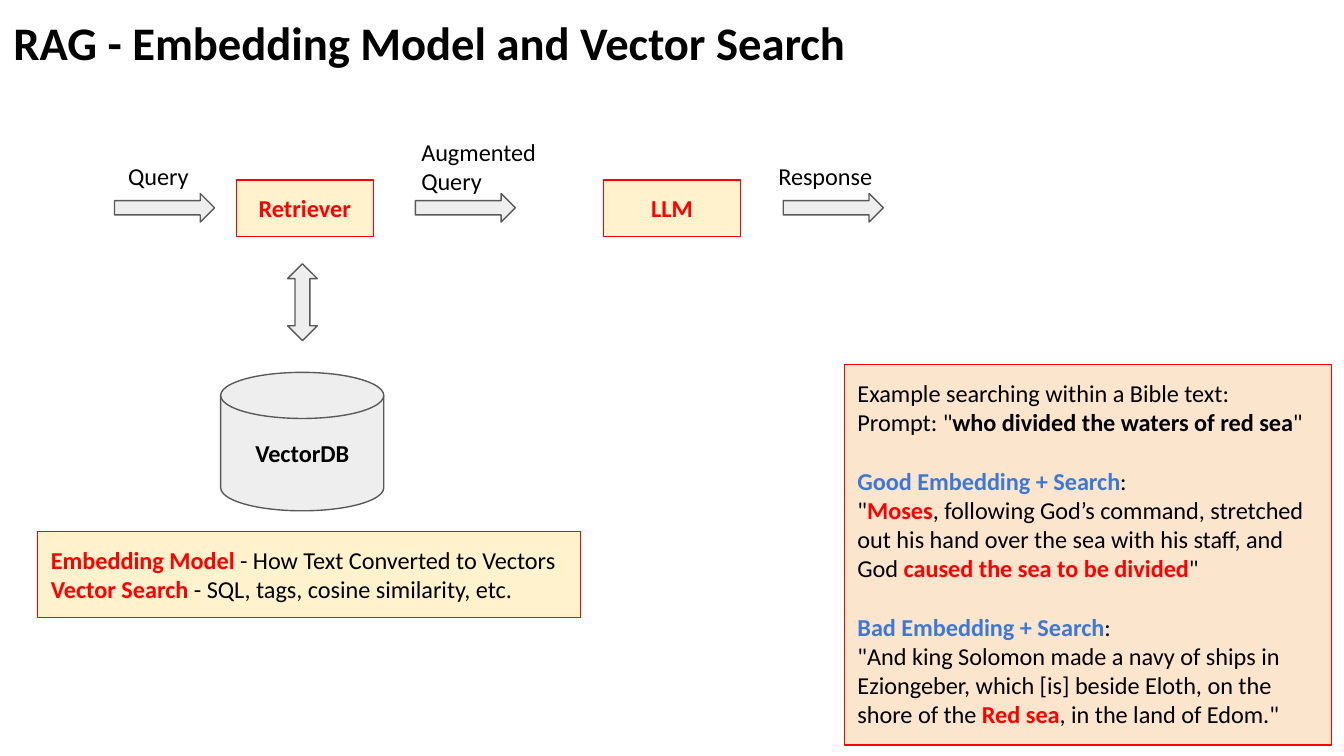
from dataclasses import dataclass

from pptx import Presentation
from pptx.dml.color import RGBColor
from pptx.enum.shapes import MSO_SHAPE
from pptx.enum.text import MSO_ANCHOR, MSO_AUTO_SIZE, PP_ALIGN
from pptx.shapes.autoshape import Shape
from pptx.slide import Slide
from pptx.util import Pt


@dataclass(frozen=True)
class Theme:
    font: str = "Calibri"
    title_size: float = 25
    body_size: float = 13
    inset: float = 7.2
    line_width: float = 0.75
    section_gap: float = 15.85
    black: str = "000000"
    red: str = "FF0000"
    blue: str = "3C78D8"
    gray: str = "EEEEEE"
    outline: str = "595959"
    cream: str = "FFF2CC"
    peach: str = "FCE5CD"


THEME = Theme()


@dataclass(frozen=True)
class Area:
    left: float
    top: float
    width: float
    height: float

    def lengths(self) -> list[Pt]:
        return [Pt(v) for v in (self.left, self.top, self.width, self.height)]


@dataclass(frozen=True)
class Words:
    text: str
    color: str = THEME.black
    bold: bool = False


@dataclass(frozen=True)
class Line:
    words: tuple[Words, ...]
    space_before: float = 0


def key(text: str, color: str = THEME.red) -> Words:
    return Words(text, color, True)


def line(*words: Words, space_before: float = 0) -> Line:
    return Line(words, space_before)


def write(target: Shape, lines: list[Line], size: float = THEME.body_size,
          align: PP_ALIGN = PP_ALIGN.LEFT,
          anchor: MSO_ANCHOR = MSO_ANCHOR.TOP) -> None:
    frame = target.text_frame
    frame.word_wrap = True
    frame.auto_size = MSO_AUTO_SIZE.NONE
    frame.vertical_anchor = anchor
    frame.margin_left = frame.margin_right = Pt(THEME.inset)
    frame.margin_top = frame.margin_bottom = Pt(THEME.inset)
    for index, content in enumerate(lines):
        paragraph = frame.add_paragraph() if index else frame.paragraphs[0]
        paragraph.alignment = align
        paragraph.space_before = Pt(content.space_before)
        for words in content.words:
            run = paragraph.add_run()
            run.text = words.text
            run.font.name = THEME.font
            run.font.size = Pt(size)
            run.font.bold = words.bold
            run.font.color.rgb = RGBColor.from_string(words.color)


def draw(slide: Slide, kind: MSO_SHAPE, area: Area,
         fill: str = THEME.gray, outline: str = THEME.outline) -> Shape:
    shape = slide.shapes.add_shape(kind, *area.lengths())
    shape.shadow.inherit = False
    shape.fill.solid()
    shape.fill.fore_color.rgb = RGBColor.from_string(fill)
    shape.line.color.rgb = RGBColor.from_string(outline)
    shape.line.width = Pt(THEME.line_width)
    return shape


def panel(slide: Slide, area: Area, fill: str, lines: list[Line],
          align: PP_ALIGN = PP_ALIGN.LEFT) -> None:
    box = draw(slide, MSO_SHAPE.RECTANGLE, area, fill, THEME.red)
    write(box, lines, align=align)


def label(slide: Slide, area: Area, text: str) -> None:
    write(slide.shapes.add_textbox(*area.lengths()), [line(Words(text))])


def main() -> None:
    deck = Presentation()
    deck.slide_width, deck.slide_height = Pt(720), Pt(405)
    slide = deck.slides.add_slide(deck.slide_layouts[5])

    # Title
    title = slide.shapes.title
    title.left, title.top, title.width, title.height = Area(0, 0, 549, 45).lengths()
    write(title, [line(key("RAG - Embedding Model and Vector Search", THEME.black))],
          THEME.title_size)

    # Pipeline stages
    for stage, left in (("Retriever", 126.6), ("LLM", 323.3)):
        panel(slide, Area(left, 96.5, 73.4, 30.4), THEME.cream,
              [line(key(stage))], PP_ALIGN.CENTER)

    # Flow between the stages
    for left in (61.3, 222.5, 419.6):
        draw(slide, MSO_SHAPE.RIGHT_ARROW, Area(left, 103.7, 53.6, 15.3))
    label(slide, Area(61.6, 79.3, 53.5, 30.4), "Query")
    label(slide, Area(218.6, 66.4, 97.2, 46.2), "Augmented Query")
    label(slide, Area(409.9, 79.3, 91.4, 30.4), "Response")

    # Vector store
    draw(slide, MSO_SHAPE.UP_DOWN_ARROW, Area(154.1, 141.3, 15.9, 41.2))
    store = draw(slide, MSO_SHAPE.FLOWCHART_MAGNETIC_DISK,
                 Area(118.2, 199.5, 87.4, 74.2))
    write(store, [line(key("VectorDB", THEME.black))],
          align=PP_ALIGN.CENTER, anchor=MSO_ANCHOR.MIDDLE)

    # Definitions
    panel(slide, Area(20.2, 284.9, 290.9, 46.1), THEME.cream, [
        line(key("Embedding Model"), Words(" - How Text Converted to Vectors")),
        line(key("Vector Search"), Words(" - SQL, tags, cosine similarity, etc.")),
    ])

    # Search example
    panel(slide, Area(452.3, 195.4, 260.9, 203.8), THEME.peach, [
        line(Words("Example searching within a Bible text:")),
        line(Words('Prompt: "'),
             key("who divided the waters of red sea", THEME.black), Words('"')),
        line(key("Good Embedding + Search", THEME.blue), Words(":"),
             space_before=THEME.section_gap),
        line(Words('"'), key("Moses"),
             Words(", following God’s command, stretched out his hand over the sea "
                   "with his staff, and God "),
             key("caused the sea to be divided"), Words('"')),
        line(key("Bad Embedding + Search", THEME.blue), Words(":"),
             space_before=THEME.section_gap),
        line(Words('"And king Solomon made a navy of ships in Eziongeber, '
                   "which [is] beside Eloth, on the shore of the "),
             key("Red sea"), Words(', in the land of Edom."')),
    ])

    deck.save("out.pptx")


if __name__ == "__main__":
    main()
